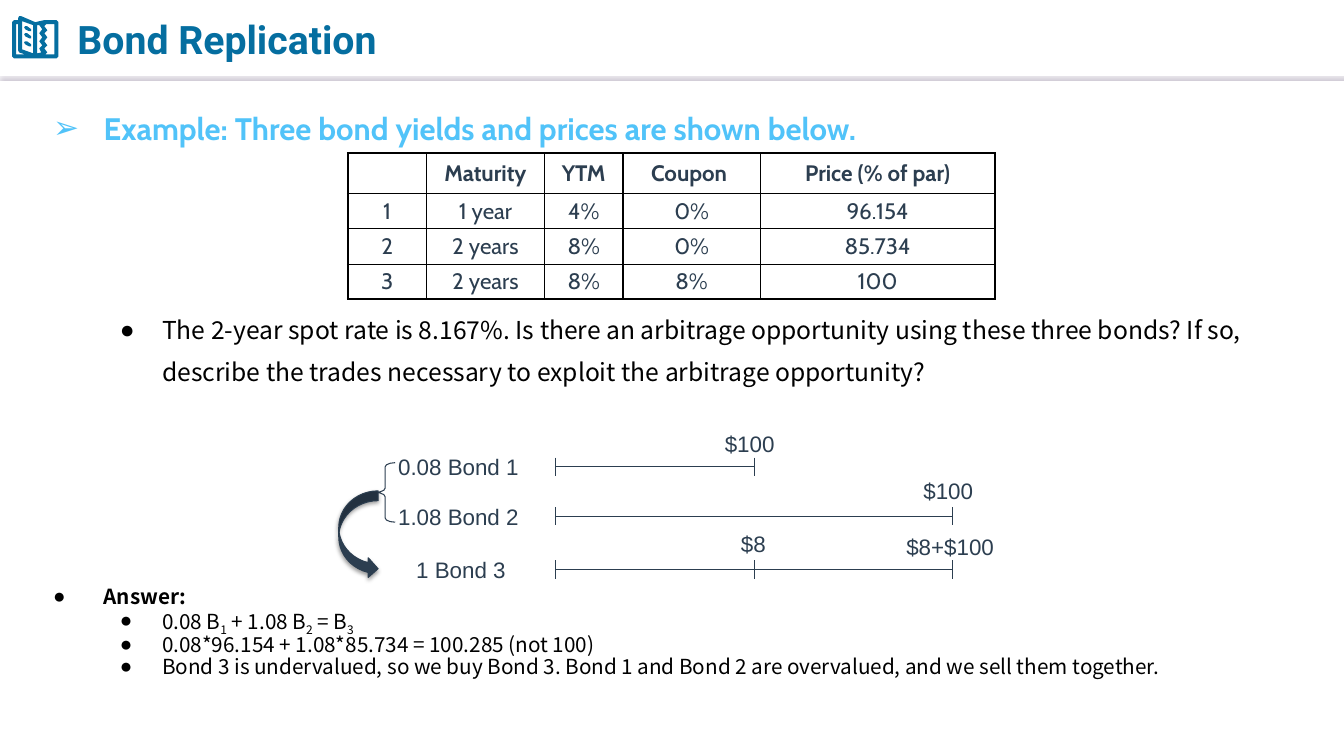
import lxml.etree
import pptx
import pptx.dml.color
import pptx.enum.shapes
import pptx.enum.text
import pptx.oxml
import pptx.oxml.ns
import pptx.util

Inches = pptx.util.Inches
Pt = pptx.util.Pt
qn = pptx.oxml.ns.qn
NAVY, BLUE, SKY, BLACK = "2C3E50", "056EA0", "51C3F9", "000000"


def color(value):
    return pptx.dml.color.RGBColor.from_string(value)


def set_shadow(shape, value=None, alpha=100, blur=0, distance=0):
    """Replace the theme shadow with a downward one, or with none."""
    properties = shape._element.spPr
    for old in properties.findall(qn("a:effectLst")):
        properties.remove(old)
    effects = lxml.etree.SubElement(properties, qn("a:effectLst"))
    if value:
        shadow = lxml.etree.SubElement(
            effects, qn("a:outerShdw"), blurRad=str(Pt(blur)),
            dist=str(Pt(distance)), dir="5400000", algn="t", rotWithShape="0")
        tint = lxml.etree.SubElement(shadow, qn("a:srgbClr"), val=value)
        lxml.etree.SubElement(tint, qn("a:alpha"), val=str(alpha * 1000))


deck = pptx.Presentation()
deck.slide_width, deck.slide_height = Inches(13.33), Inches(7.5)
page = deck.slides.add_slide(deck.slide_layouts[6])

# Header rule
rule = page.shapes.add_connector(
    pptx.enum.shapes.MSO_CONNECTOR.STRAIGHT,
    Inches(0), Inches(0.74), Inches(13.33), Inches(0.74))
rule.line.color.rgb = color("FFFFFF")
rule.line.width = Pt(0.75)
set_shadow(rule, "BCB4C4", 100, 1, 3)

# Book icon: outer outline, page openings, then three text lines
book = [
    [(0.21, 0.16), (0.35, 0.22), (0.44, 0.2), (0.56, 0.2), (0.58, 0.22),
     (0.58, 0.56), (0.56, 0.58), (0.14, 0.58), (0.12, 0.56), (0.12, 0.22),
     (0.14, 0.2), (0.18, 0.2), (0.18, 0.18), (0.19, 0.16)],
    [(0.16, 0.24), (0.16, 0.54), (0.25, 0.54), (0.19, 0.52), (0.18, 0.5),
     (0.18, 0.24)],
    [(0.22, 0.21), (0.22, 0.49), (0.33, 0.53), (0.33, 0.25)],
    [(0.39, 0.25), (0.37, 0.25), (0.37, 0.53), (0.41, 0.52), (0.39, 0.48),
     (0.42, 0.45), (0.39, 0.41), (0.42, 0.37), (0.39, 0.33), (0.42, 0.29)],
    [(0.46, 0.24), (0.44, 0.26), (0.47, 0.3), (0.44, 0.33), (0.47, 0.37),
     (0.44, 0.41), (0.47, 0.45), (0.44, 0.48), (0.47, 0.52), (0.45, 0.54),
     (0.54, 0.54), (0.54, 0.24)],
]
for y in (0.26, 0.33, 0.41):
    book.append([(0.25, y), (0.27, y), (0.31, y + 0.03), (0.31, y + 0.05),
                 (0.29, y + 0.05), (0.25, y + 0.03), (0.24, y + 0.01)])
outline = page.shapes.build_freeform(
    int(book[0][0][0] * 100), int(book[0][0][1] * 100), Inches(0.01))
for contour in book:
    points = [(x * 100, y * 100) for x, y in contour]
    outline.move_to(*points[0])
    outline.add_line_segments(points[1:], close=True)
icon = outline.convert_to_shape()
icon.fill.solid()
icon.fill.fore_color.rgb = color(BLUE)
icon.line.fill.background()
set_shadow(icon)

# Title
title = page.shapes.add_textbox(Inches(0.67), Inches(0.07), Inches(7.36), Inches(0.63))
title.text_frame.word_wrap = True
title.text_frame.vertical_anchor = pptx.enum.text.MSO_ANCHOR.MIDDLE
title.text_frame.text = "Bond Replication"
font = title.text_frame.paragraphs[0].runs[0].font
font.name, font.size, font.bold = "Roboto", Pt(28), True
font.color.rgb = color(BLUE)

# Body: top, height, line spacing, size, font, colour, paragraphs
# Each paragraph: bullet, left margin, hanging indent, bold, spans (odd ones subscript)
body = [
    (0.89, 0.62, 1.4, 22.2, "Cabin", SKY, [
        ("➢", 0.5, 0.5, True, ["Example: Three bond yields and prices are shown below."])]),
    (2.96, 0.95, 1.4, 17.6, "Noto Sans CJK SC", BLACK, [
        ("●", 1.08, 0.42, False, [
            "The 2-year spot rate is 8.167%. Is there an arbitrage opportunity using these "
            "three bonds? If so, describe the trades necessary to exploit the arbitrage "
            "opportunity?"])]),
    (5.77, 1.05, 0.9, 14.8, "Noto Sans CJK SC", BLACK, [
        ("●", 0.5, 0.5, True, ["Answer:"]),
        ("●", 1.08, 0.42, False, ["0.08 B", "1", " + 1.08 B", "2", " = B", "3"]),
        ("●", 1.08, 0.42, False, ["0.08*96.154 + 1.08*85.734 = 100.285 (not 100)"]),
        ("●", 1.08, 0.42, False, [
            "Bond 3 is undervalued, so we buy Bond 3. Bond 1 and Bond 2 are overvalued, "
            "and we sell them together."])]),
]
for top, height, spacing, size, face, ink, paragraphs in body:
    box = page.shapes.add_textbox(Inches(0.43), Inches(top), Inches(12.47), Inches(height))
    frame = box.text_frame
    frame.word_wrap = True
    for index, (bullet, margin, hanging, bold, spans) in enumerate(paragraphs):
        para = frame.add_paragraph() if index else frame.paragraphs[0]
        para.line_spacing = spacing
        layout = para._p.get_or_add_pPr()
        layout.set("marL", str(Inches(margin)))
        layout.set("indent", str(-Inches(hanging)))
        lxml.etree.SubElement(layout, qn("a:buFont"), typeface="Arial")
        lxml.etree.SubElement(layout, qn("a:buChar"), char=bullet)
        for position, words in enumerate(spans):
            span = para.add_run()
            span.text = words
            span.font.name, span.font.size, span.font.bold = face, Pt(size), bold
            span.font.color.rgb = color(ink)
            if position % 2:
                span.font._element.set("baseline", "-25000")

# Bond table
rows = [
    ["", "Maturity", "YTM", "Coupon ", "Price (% of par)"],
    ["1", "1 year", "4%", "0%", "96.154"],
    ["2", "2 years", "8%", "0%", "85.734"],
    ["3", "2 years", "8%", "8%", "100"],
]
widths = [0.78, 1.17, 0.78, 1.36, 2.33]
bonds = page.shapes.add_table(
    len(rows), len(widths), Inches(3.45), Inches(1.52), Inches(6.42), Inches(1.45)).table
bonds.first_row = bonds.horz_banding = False
for column, width in zip(bonds.columns, widths):
    column.width = Inches(width)
for r, values in enumerate(rows):
    bonds.rows[r].height = Inches(0.35 if r else 0.4)
    for c, value in enumerate(values):
        cell = bonds.cell(r, c)
        cell.margin_left = cell.margin_right = Inches(0.04)
        cell.margin_top = cell.margin_bottom = Inches(0.04)
        cell.vertical_anchor = pptx.enum.text.MSO_ANCHOR.MIDDLE
        cell.text = value
        para = cell.text_frame.paragraphs[0]
        para.alignment = pptx.enum.text.PP_ALIGN.CENTER
        for span in para.runs:
            span.font.name, span.font.size, span.font.bold = "Cabin", Pt(16), r == 0
            span.font.color.rgb = color(NAVY)
        outer = {"L": c == 0, "R": c == len(widths) - 1, "T": r == 0, "B": r == len(rows) - 1}
        for side, is_outer in outer.items():
            border = lxml.etree.SubElement(
                cell._tc.get_or_add_tcPr(), qn("a:ln" + side), w=str(Pt(1.5 if is_outer else 1)))
            fill = lxml.etree.SubElement(border, qn("a:solidFill"))
            lxml.etree.SubElement(fill, qn("a:srgbClr"), val=BLACK)
        cell.fill.background()

# Cash flow timelines: height, then tick positions
diagram = page.shapes.add_group_shape().shapes
for y, ticks in [(4.63, [5.51, 7.48]), (5.12, [5.51, 9.45]), (5.65, [5.51, 7.48, 9.45])]:
    segments = [(ticks[0], y, ticks[-1], y)]
    segments += [(x, y - 0.09, x, y + 0.09) for x in ticks]
    for ends in segments:
        line = diagram.add_connector(
            pptx.enum.shapes.MSO_CONNECTOR.STRAIGHT, *[Inches(end) for end in ends])
        line.line.color.rgb = color(NAVY)
        line.line.width = Pt(0.75)
        set_shadow(line)

# Timeline labels
labels = [
    ("0.08 Bond 1", 3.85, 4.45, 1.41), ("1.08 Bond 2", 3.85, 4.94, 1.41),
    ("1 Bond 3", 4.03, 5.47, 1.1), ("$100", 7.09, 4.22, 0.7), ("$100", 9.06, 4.68, 0.7),
    ("$8", 7.25, 5.21, 0.45), ("$8+$100", 8.89, 5.24, 1.08),
]
for words, left, top, width in labels:
    label = diagram.add_textbox(Inches(left), Inches(top), Inches(width), Inches(0.37))
    label.text_frame.word_wrap = False
    label.text_frame.text = words
    font = label.text_frame.paragraphs[0].runs[0].font
    font.name, font.size = "Arial", Pt(16)
    font.color.rgb = color(NAVY)

# Brace and replication arrow
brace = diagram.add_shape(
    pptx.enum.shapes.MSO_SHAPE.LEFT_BRACE, Inches(3.72), Inches(4.59), Inches(0.2), Inches(0.59))
brace.adjustments[0] = 0.21
brace.fill.background()
arrow = diagram.add_shape(
    pptx.enum.shapes.MSO_SHAPE.CURVED_RIGHT_ARROW,
    Inches(3.36), Inches(4.87), Inches(0.39), Inches(0.87))
arrow.fill.solid()
arrow.fill.fore_color.rgb = color(NAVY)
for shape in (brace, arrow):
    shape.line.color.rgb = color(NAVY)
    shape.line.width = Pt(0.75)
set_shadow(brace)
set_shadow(arrow, BLACK, 38, 3.1, 1.6)

deck.save("out.pptx")
